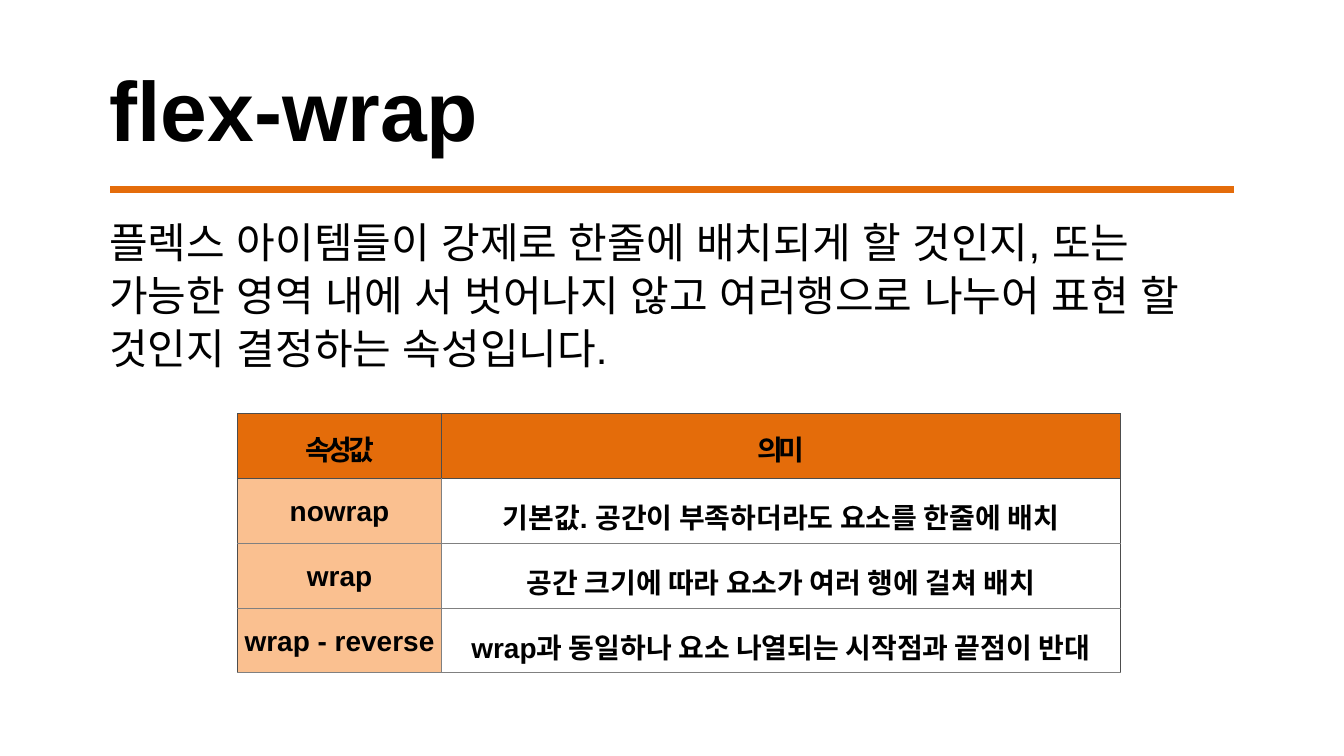
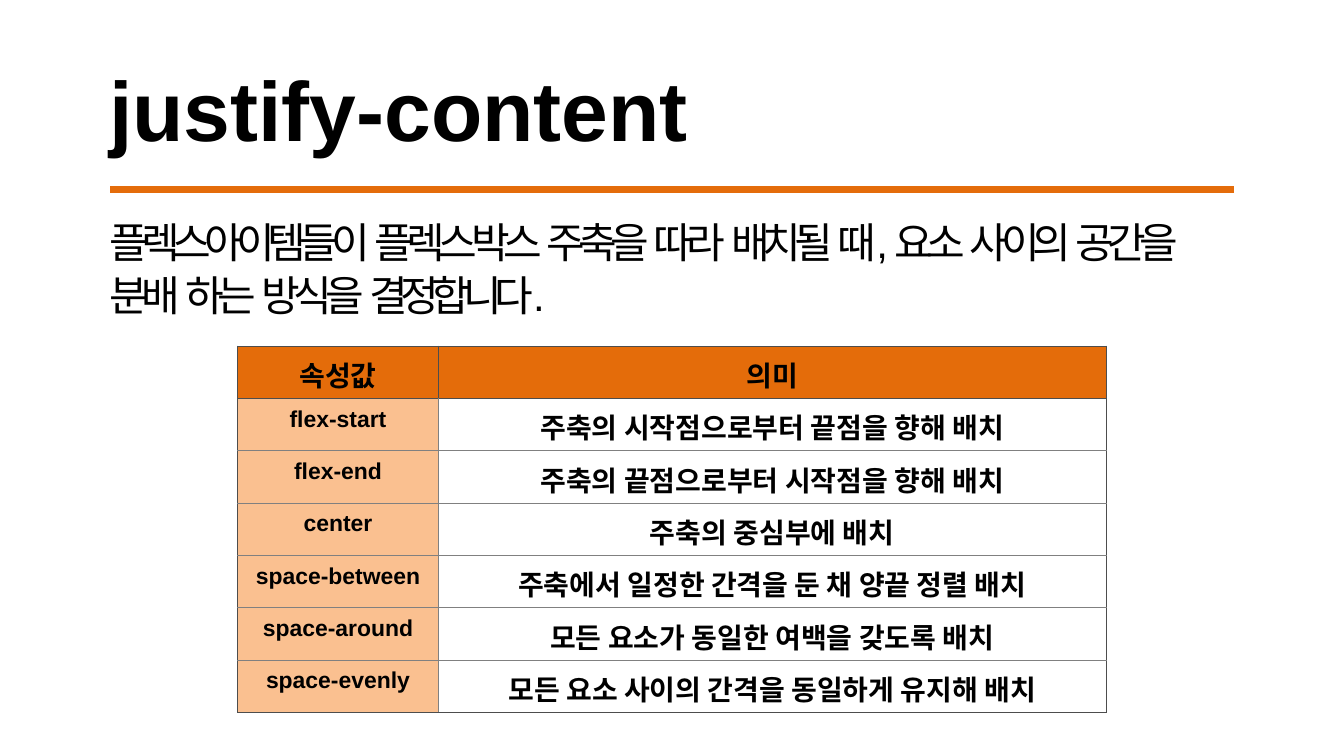
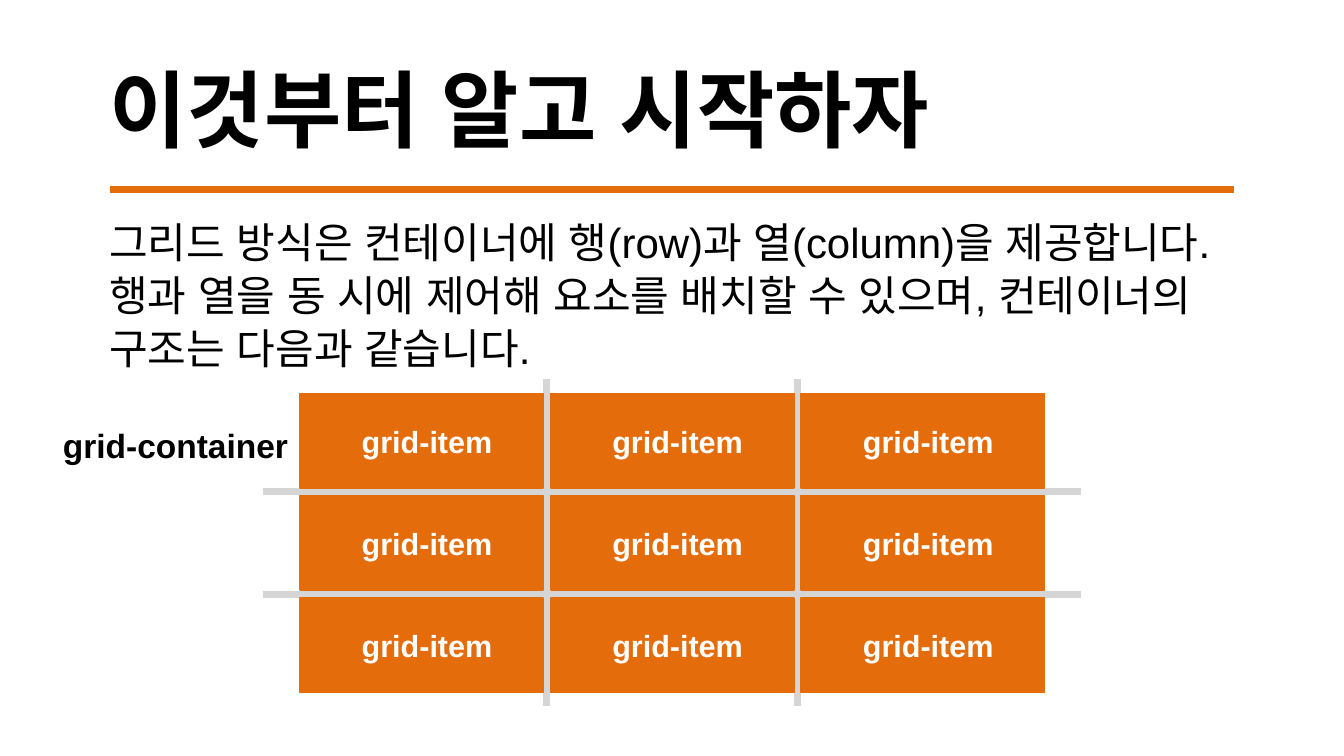
from dataclasses import dataclass

from lxml import etree
from pptx import Presentation
from pptx import presentation as prs
from pptx import slide as sld
from pptx import table as tbl
from pptx import util as u
from pptx.dml import color as dml
from pptx.enum import shapes as es
from pptx.enum import text as et
from pptx.oxml import ns
from pptx.shapes import autoshape
from pptx.text import text as tx


@dataclass(frozen=True)
class Theme:
    accent: str = "E46C0A"
    accent_light: str = "FAC090"
    ink: str = "000000"
    paper: str = "FFFFFF"
    grid_line: str = "D5D5D5"
    border_dark: str = "4D4D4D"
    border_light: str = "808080"
    font: str = "Arial"
    header_font: str = "Comic Neue"
    title_size: float = 99
    body_size: float = 49.5
    label_size: float = 39.5
    item_size: float = 36
    cell_size: float = 33
    small_cell_size: float = 27
    rule_width: float = 8.25


THEME = Theme()
LEFT = 1.78


@dataclass(frozen=True)
class Box:
    left: float
    top: float
    width: float
    height: float

    def lengths(self) -> tuple[u.Length, ...]:
        return tuple(u.Inches(v) for v in (self.left, self.top, self.width, self.height))


@dataclass(frozen=True)
class Style:
    size: float
    bold: bool = True
    color: str = THEME.ink
    font: str = THEME.font
    east_asian_font: str | None = None


@dataclass(frozen=True)
class Run:
    text: str
    spacing: float = 0


@dataclass(frozen=True)
class Page:
    title: str
    title_width: float
    body: tuple[Run, ...]
    body_width: float
    body_height: float


@dataclass(frozen=True)
class PropertyTable:
    top: float
    columns: tuple[float, float]
    height: float
    header: tuple[Run, Run]
    rows: tuple[tuple[str, str], ...]
    header_inset: float
    row_inset: float
    header_font: str = THEME.font
    name_size: float = THEME.cell_size
    dark_bottom: bool = False
    left: float = 3.89


@dataclass(frozen=True)
class ItemGrid:
    left: float = 4.91
    top: float = 6.44
    width: float = 3.98
    height: float = 1.55
    gap: float = 0.12
    count: int = 3


FLEX_WRAP = Page(
    "flex-wrap", 7.63,
    (Run("플렉스 아이템들이 강제로 한줄에 배치되게 할 것인지, 또는 가능한 영역 내에 서 "
         "벗어나지 않고 여러행으로 나누어 표현 할 것인지 결정하는 속성입니다."),),
    18.01, 2.66,
)
FLEX_WRAP_TABLE = PropertyTable(
    top=6.77, columns=(3.33, 11.11), height=4.24,
    header=(Run("속성값", -4.9), Run("의미", -5.7)),
    rows=(
        ("nowrap", "기본값. 공간이 부족하더라도 요소를 한줄에 배치"),
        ("wrap", "공간 크기에 따라 요소가 여러 행에 걸쳐 배치"),
        ("wrap - reverse", "wrap과 동일하나 요소 나열되는 시작점과 끝점이 반대"),
    ),
    header_inset=0.23, row_inset=0.29,
)
JUSTIFY_CONTENT = Page(
    "justify-content", 10.13,
    (
        Run("플렉스아이템들이 ", -8.1), Run("플렉스박스 ", -7.7), Run("주축을 ", -8.2),
        Run("따라 ", -6.5), Run("배치될 ", -8.2), Run("때, ", -6.6), Run("요소 ", -8),
        Run("사이의 ", -8.3), Run("공간을 ", -7.7), Run("분배 ", -7.6), Run("하는 ", -7.2),
        Run("방식을 ", -7.9), Run("결정합니다.", -8.6),
    ),
    18.35, 1.77,
)
JUSTIFY_CONTENT_TABLE = PropertyTable(
    top=5.66, columns=(3.28, 10.93), height=6,
    header=(Run("속성값"), Run("의미")),
    rows=(
        ("flex-start", "주축의 시작점으로부터 끝점을 향해 배치"),
        ("flex-end", "주축의 끝점으로부터 시작점을 향해 배치"),
        ("center", "주축의 중심부에 배치"),
        ("space-between", "주축에서 일정한 간격을 둔 채 양끝 정렬 배치"),
        ("space-around", "모든 요소가 동일한 여백을 갖도록 배치"),
        ("space-evenly", "모든 요소 사이의 간격을 동일하게 유지해 배치"),
    ),
    header_inset=0.13, row_inset=0.13, dark_bottom=True,
    header_font=THEME.header_font, name_size=THEME.small_cell_size,
)
GRID_INTRO = Page(
    "이것부터 알고 시작하자", 16.8,
    (Run("그리드 방식은 컨테이너에 행(row)과 열(column)을 제공합니다. 행과 열을 동 시에 "
         "제어해 요소를 배치할 수 있으며, 컨테이너의 구조는 다음과 같습니다."),),
    18.12, 2.66,
)


def rgb(color: str) -> dml.RGBColor:
    return dml.RGBColor.from_string(color)


def add_runs(paragraph: tx._Paragraph, runs: tuple[Run, ...], style: Style) -> None:
    for item in runs:
        run = paragraph.add_run()
        run.text = item.text
        font = run.font
        font.name = style.font
        font.size = u.Pt(style.size)
        font.bold = style.bold
        font.color.rgb = rgb(style.color)
        properties = run._r.get_or_add_rPr()
        if style.east_asian_font:
            etree.SubElement(properties, ns.qn("a:ea"), typeface=style.east_asian_font)
        if item.spacing:
            properties.set("spc", str(round(item.spacing * 100)))


def set_indent(paragraph: tx._Paragraph, margin: float) -> None:
    properties = paragraph._p.get_or_add_pPr()
    properties.set("marL", str(u.Inches(margin)))
    properties.set("indent", "0")


def fill_text_box(shape: autoshape.Shape, box: Box, runs: tuple[Run, ...],
                  style: Style, line_spacing: float = 1.0) -> None:
    shape.left, shape.top, shape.width, shape.height = box.lengths()
    frame = shape.text_frame
    frame.word_wrap = True
    frame.auto_size = et.MSO_AUTO_SIZE.SHAPE_TO_FIT_TEXT
    frame.vertical_anchor = et.MSO_ANCHOR.TOP
    frame.margin_left = frame.margin_right = frame.margin_bottom = 0
    frame.margin_top = u.Inches(0.01)
    paragraph = frame.paragraphs[0]
    paragraph.alignment = et.PP_ALIGN.LEFT
    paragraph.space_before = u.Pt(0)
    paragraph.line_spacing = line_spacing
    set_indent(paragraph, 0.01)
    etree.SubElement(paragraph._p.get_or_add_pPr(), ns.qn("a:buNone"))
    add_runs(paragraph, runs, style)


def add_line(slide: sld.Slide, start: tuple[float, float], end: tuple[float, float],
             color: str) -> None:
    points = (u.Inches(value) for value in (*start, *end))
    connector = slide.shapes.add_connector(es.MSO_CONNECTOR.STRAIGHT, *points)
    connector.line.color.rgb = rgb(color)
    connector.line.width = u.Pt(THEME.rule_width)
    etree.SubElement(connector._element.spPr, ns.qn("a:effectLst"))


def add_page(presentation: prs.Presentation, page: Page) -> sld.Slide:
    slide = presentation.slides.add_slide(presentation.slide_layouts[1])
    title_style = Style(THEME.title_size, east_asian_font=THEME.font)
    body_style = Style(THEME.body_size, bold=False, east_asian_font=THEME.font)
    fill_text_box(slide.shapes.title, Box(LEFT, 0.93, page.title_width, 1.68),
                  (Run(page.title),), title_style)
    fill_text_box(slide.placeholders[1], Box(LEFT, 3.49, page.body_width, page.body_height),
                  page.body, body_style, 1.05)
    add_line(slide, (1.8, 3.1), (20.19, 3.1), THEME.accent)
    return slide


def add_border(cell: tbl._Cell, side: str, color: str) -> None:
    line = etree.SubElement(cell._tc.get_or_add_tcPr(), ns.qn(f"a:ln{side}"), w=str(u.Pt(1)))
    fill = etree.SubElement(line, ns.qn("a:solidFill"))
    etree.SubElement(fill, ns.qn("a:srgbClr"), val=color)


def add_cell(cell: tbl._Cell, run: Run, style: Style, inset: float, fill: str | None,
             dark_sides: str) -> None:
    for side in "LRTB":
        add_border(cell, side, THEME.border_dark if side in dark_sides else THEME.border_light)
    if fill:
        cell.fill.solid()
        cell.fill.fore_color.rgb = rgb(fill)
    else:
        cell.fill.background()
    cell.margin_left = cell.margin_right = cell.margin_bottom = 0
    cell.margin_top = u.Inches(inset)
    paragraph = cell.text_frame.paragraphs[0]
    paragraph.alignment = et.PP_ALIGN.CENTER
    add_runs(paragraph, (run,), style)


def add_property_table(slide: sld.Slide, data: PropertyTable) -> None:
    row_count = len(data.rows) + 1
    box = Box(data.left, data.top, sum(data.columns), data.height)
    table = slide.shapes.add_table(row_count, 2, *box.lengths()).table
    table.first_row = table.horz_banding = False
    for column, width in zip(table.columns, data.columns):
        column.width = u.Inches(width)
    for row in table.rows:
        row.height = u.Inches(data.height / row_count)

    header_style = Style(THEME.cell_size, font=data.header_font)
    for column, run in enumerate(data.header):
        add_cell(table.cell(0, column), run, header_style, data.header_inset,
                 THEME.accent, "LRTB")

    columns = (
        (Style(data.name_size), THEME.accent_light, "L"),
        (Style(THEME.cell_size), None, "R"),
    )
    for row, texts in enumerate(data.rows, 1):
        top_edge = "T" if row == 1 else ""
        bottom_edge = "B" if data.dark_bottom and row == row_count - 1 else ""
        for column, (text, (style, fill, outer)) in enumerate(zip(texts, columns)):
            add_cell(table.cell(row, column), Run(text), style, data.row_inset,
                     fill, outer + top_edge + bottom_edge)


def add_grid_item(slide: sld.Slide, box: Box) -> None:
    shape = slide.shapes.add_shape(es.MSO_SHAPE.RECTANGLE, *box.lengths())
    shape.shadow.inherit = False
    shape.fill.solid()
    shape.fill.fore_color.rgb = rgb(THEME.accent)
    shape.line.color.rgb = rgb(THEME.accent)
    shape.line.width = u.Pt(2)
    frame = shape.text_frame
    frame.vertical_anchor = et.MSO_ANCHOR.MIDDLE
    paragraph = frame.paragraphs[0]
    paragraph.alignment = et.PP_ALIGN.LEFT
    set_indent(paragraph, 0.91)
    add_runs(paragraph, (Run("grid-item"),), Style(THEME.item_size, color=THEME.paper))


def add_item_grid(slide: sld.Slide, grid: ItemGrid) -> None:
    lefts = [grid.left + i * (grid.width + grid.gap) for i in range(grid.count)]
    tops = [grid.top + i * (grid.height + grid.gap) for i in range(grid.count)]
    for top in tops[1:]:
        y = top - grid.gap / 2
        add_line(slide, (4.3, y), (17.69, y), THEME.grid_line)
    for left in lefts[1:]:
        x = left - grid.gap / 2
        add_line(slide, (x, 6.2), (x, 11.55), THEME.grid_line)
    for top in tops:
        for left in lefts:
            add_grid_item(slide, Box(left, top, grid.width, grid.height))


def main() -> None:
    presentation = Presentation()
    presentation.slide_width = u.Inches(21.99)
    presentation.slide_height = u.Inches(12.37)

    for page, table in ((FLEX_WRAP, FLEX_WRAP_TABLE), (JUSTIFY_CONTENT, JUSTIFY_CONTENT_TABLE)):
        add_property_table(add_page(presentation, page), table)

    slide = add_page(presentation, GRID_INTRO)
    label_box = Box(1.02, 6.94, 3.78, 0.68)
    label = slide.shapes.add_textbox(*label_box.lengths())
    fill_text_box(label, label_box, (Run("grid-container"),), Style(THEME.label_size))
    add_item_grid(slide, ItemGrid())

    presentation.save("out.pptx")


if __name__ == "__main__":
    main()
